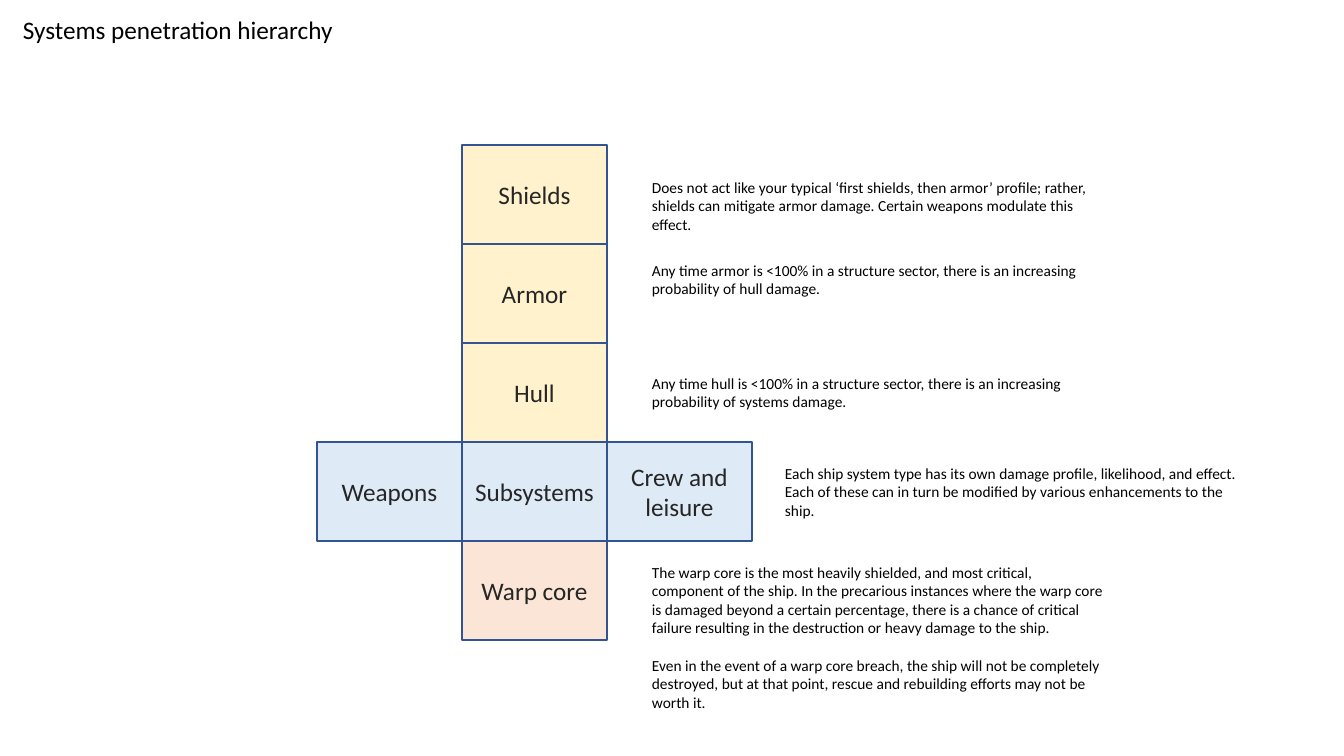
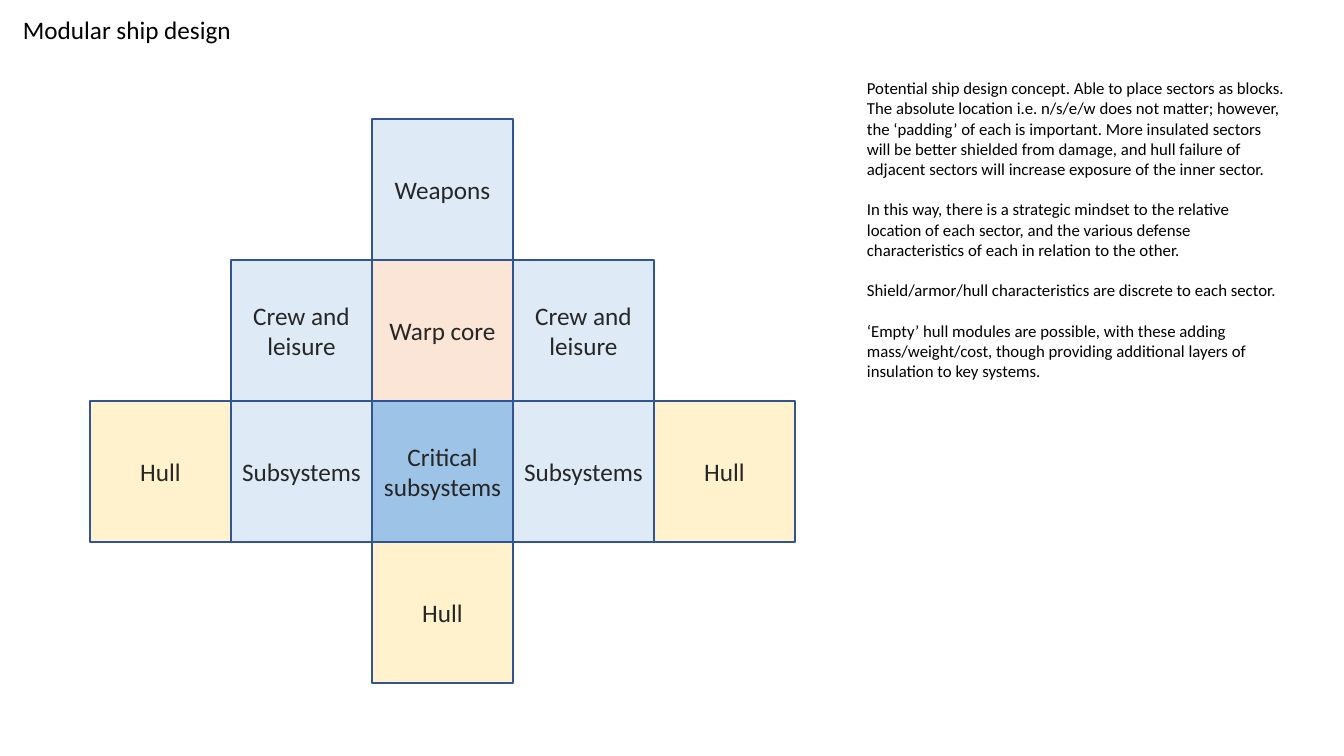
from pptx import Presentation
from pptx.dml.color import RGBColor
from pptx.enum.shapes import MSO_SHAPE as Shape
from pptx.enum.text import MSO_ANCHOR as Anchor, MSO_AUTO_SIZE as AutoSize, PP_ALIGN as Align
from pptx.util import Pt

EMU_PER_PIXEL = 914400 / 100.8
SLIDE_WIDTH, SLIDE_HEIGHT = 1344, 756
FONT = "Calibri"
LINE_HEIGHT = 1.22

BLACK = RGBColor(0x00, 0x00, 0x00)
CHARCOAL = RGBColor(0x26, 0x26, 0x26)
OUTLINE = RGBColor(0x32, 0x54, 0x91)
CREAM = RGBColor(0xFF, 0xF2, 0xCC)
PALE_BLUE = RGBColor(0xDE, 0xEB, 0xF7)
MID_BLUE = RGBColor(0x9D, 0xC3, 0xE6)
PEACH = RGBColor(0xFB, 0xE5, 0xD6)

SECTOR_FILLS = {
    "Shields": CREAM,
    "Armor": CREAM,
    "Hull": CREAM,
    "Weapons": PALE_BLUE,
    "Subsystems": PALE_BLUE,
    "Crew and leisure": PALE_BLUE,
    "Critical subsystems": MID_BLUE,
    "Warp core": PEACH,
}


def px(length):
    """Turn picture pixels into EMU."""
    return round(length * EMU_PER_PIXEL)


def write_text(frame, *paragraphs, size=18, color=BLACK, align=Align.LEFT):
    """Fill a text frame, with one line of space between paragraphs."""
    for index, text in enumerate(paragraphs):
        para = frame.add_paragraph() if index else frame.paragraphs[0]
        para.alignment = align
        if index:
            para.space_before = Pt(round(size * LINE_HEIGHT, 1))
        span = para.add_run()
        span.text = text
        span.font.name = FONT
        span.font.size = Pt(size)
        span.font.color.rgb = color


class ShipDeck:
    """Hold the deck, its style and the current page."""

    def __init__(self):
        """Start an empty widescreen deck."""
        self.deck = Presentation()
        self.deck.slide_width = px(SLIDE_WIDTH)
        self.deck.slide_height = px(SLIDE_HEIGHT)
        self.page = None

    def add_page(self, title, title_width):
        """Add a blank page with its title."""
        self.page = self.deck.slides.add_slide(self.deck.slide_layouts[6])
        self.add_note(13, 9, title_width, 40, title, size=18, wrap=False)

    def add_note(self, left, top, width, height, *paragraphs, size=11, wrap=True):
        """Add a text box that grows with its text."""
        box = self.page.shapes.add_textbox(px(left), px(top), px(width), px(height))
        box.text_frame.word_wrap = wrap
        box.text_frame.auto_size = AutoSize.SHAPE_TO_FIT_TEXT
        write_text(box.text_frame, *paragraphs, size=size)

    def add_sector(self, left, top, width, height, name):
        """Add one outlined block, coloured by its sector."""
        block = self.page.shapes.add_shape(
            Shape.RECTANGLE, px(left), px(top), px(width), px(height))
        block.shadow.inherit = False
        block.fill.solid()
        block.fill.fore_color.rgb = SECTOR_FILLS[name]
        block.line.color.rgb = OUTLINE
        block.line.width = Pt(1)
        block.text_frame.word_wrap = True
        block.text_frame.vertical_anchor = Anchor.MIDDLE
        write_text(block.text_frame, name, color=CHARCOAL, align=Align.CENTER)

    def add_sector_grid(self, left, top, width, height, rows):
        """Lay out touching blocks; each row gives its first column and names."""
        for row, (first_column, names) in enumerate(rows):
            for column, name in enumerate(names, first_column):
                self.add_sector(left + column * width, top + row * height,
                                width, height, name)


def build_hierarchy(ship):
    """Build the page on the order in which damage reaches systems."""
    ship.add_page("Systems penetration hierarchy", 334)
    ship.add_sector_grid(317, 145, 145, 99, [
        (1, ["Shields"]),
        (1, ["Armor"]),
        (1, ["Hull"]),
        (0, ["Weapons", "Subsystems", "Crew and leisure"]),
        (1, ["Warp core"]),
    ])
    notes = [
        (642, 173, 67, [
            "Does not act like your typical ‘first shields, then armor’ profile; rather, "
            "shields can mitigate armor damage. Certain weapons modulate this effect."]),
        (642, 256, 47, [
            "Any time armor is <100% in a structure sector, there is an increasing "
            "probability of hull damage."]),
        (642, 369, 47, [
            "Any time hull is <100% in a structure sector, there is an increasing "
            "probability of systems damage."]),
        (775, 459, 67, [
            "Each ship system type has its own damage profile, likelihood, and effect. "
            "Each of these can in turn be modified by various enhancements to the ship."]),
        (642, 558, 159, [
            "The warp core is the most heavily shielded, and most critical, component of "
            "the ship. In the precarious instances where the warp core is damaged beyond "
            "a certain percentage, there is a chance of critical failure resulting in the "
            "destruction or heavy damage to the ship.",
            "Even in the event of a warp core breach, the ship will not be completely "
            "destroyed, but at that point, rescue and rebuilding efforts may not be "
            "worth it."]),
    ]
    for left, top, height, paragraphs in notes:
        ship.add_note(left, top, 473, height, *paragraphs)


def build_modular_design(ship):
    """Build the page on placing sectors as blocks."""
    ship.add_page("Modular ship design", 231)
    ship.add_sector_grid(90, 119, 141, 141, [
        (2, ["Weapons"]),
        (1, ["Crew and leisure", "Warp core", "Crew and leisure"]),
        (0, ["Hull", "Subsystems", "Critical subsystems", "Subsystems", "Hull"]),
        (2, ["Hull"]),
    ])
    ship.add_note(
        857, 73, 438, 316,
        "Potential ship design concept. Able to place sectors as blocks. The absolute "
        "location i.e. n/s/e/w does not matter; however, the ‘padding’ of each is "
        "important. More insulated sectors will be better shielded from damage, and hull "
        "failure of adjacent sectors will increase exposure of the inner sector.",
        "In this way, there is a strategic mindset to the relative location of each "
        "sector, and the various defense characteristics of each in relation to the other.",
        "Shield/armor/hull characteristics are discrete to each sector.",
        "‘Empty’ hull modules are possible, with these adding mass/weight/cost, though "
        "providing additional layers of insulation to key systems.",
        size=12)


ship = ShipDeck()
build_hierarchy(ship)
build_modular_design(ship)
ship.deck.save("out.pptx")
